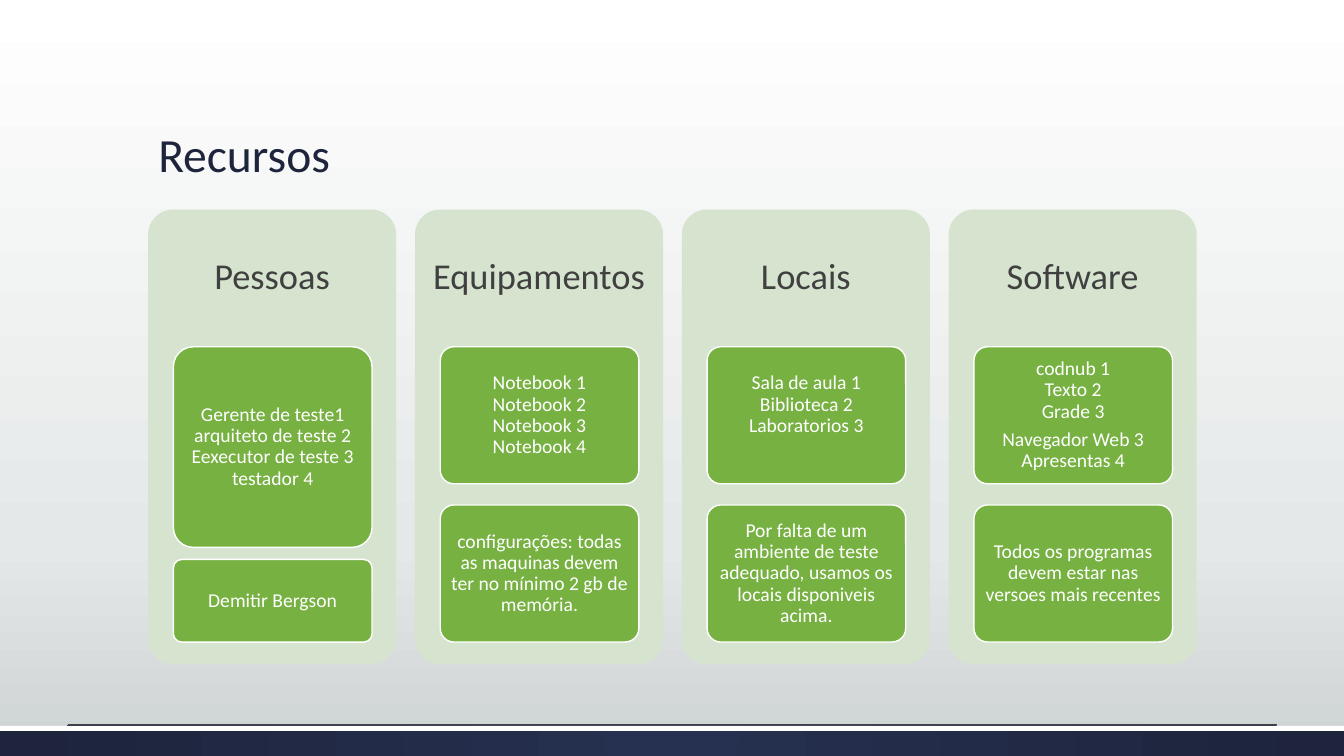
from dataclasses import dataclass

from lxml import etree
from pptx import Presentation
from pptx.dml.color import RGBColor
from pptx.enum.shapes import MSO_CONNECTOR, MSO_SHAPE
from pptx.enum.text import MSO_ANCHOR, PP_ALIGN
from pptx.oxml.ns import qn
from pptx.util import Inches, Pt

RECTANGLE, ROUNDED = MSO_SHAPE.RECTANGLE, MSO_SHAPE.ROUNDED_RECTANGLE
STRAIGHT = MSO_CONNECTOR.STRAIGHT
MIDDLE, BOTTOM = MSO_ANCHOR.MIDDLE, MSO_ANCHOR.BOTTOM
LEFT, CENTER = PP_ALIGN.LEFT, PP_ALIGN.CENTER


@dataclass(frozen=True)
class Theme:
    """Font, type sizes and colours of the slide."""
    font: str = "Calibri"
    title_size: int = 34
    heading_size: int = 26
    card_size: int = 14
    navy: str = "1D243C"
    heading: str = "404040"
    white: str = "FFFFFF"
    panel: str = "D6E4CF"
    card: str = "77B142"
    background: tuple = ((0, "FFFFFF"), (72, "E5E8E8"), (100, "CDD2D2"))
    footer: tuple = ((0, "263050"), (100, "1D243C"))


THEME = Theme()
SLIDE_WIDTH, SLIDE_HEIGHT = 13.33, 7.5
CONTENT_LEFT, CONTENT_WIDTH = 1.47, 10.4
PANEL_TOP, PANEL_WIDTH, PANEL_HEIGHT = 2.08, 2.46, 4.51
HEADING_HEIGHT = 1.35
CARD_INDENT, CARD_WIDTH = 0.25, 1.97
CARDS_TOP, CARDS_BOTTOM = 3.44, 6.37
CARD_INSETS = (0.04, 0.03, 0.04, 0.03)
RAISED_INSETS = (0.04, 0.03, 0.04, 0.24)
EVEN_HEIGHTS = (1.36, 1.36)

COLUMNS = [
    ("Pessoas", (1.99, 0.82), [
        (["Gerente de teste1\narquiteto de teste 2\nEexecutor de teste 3\ntestador 4"], CARD_INSETS),
        (["Demitir Bergson"], CARD_INSETS),
    ]),
    ("Equipamentos", EVEN_HEIGHTS, [
        (["Notebook 1\nNotebook 2\nNotebook 3\nNotebook 4"], CARD_INSETS),
        (["configurações: todas as maquinas devem ter no mínimo 2 gb de memória."], CARD_INSETS),
    ]),
    ("Locais", EVEN_HEIGHTS, [
        (["Sala de aula 1\nBiblioteca 2\nLaboratorios 3"], RAISED_INSETS),
        (["Por falta de um ambiente de teste adequado, usamos os locais disponiveis acima."], CARD_INSETS),
    ]),
    ("Software", EVEN_HEIGHTS, [
        (["codnub 1\nTexto 2\nGrade 3", "Navegador Web 3\nApresentas 4"], CARD_INSETS),
        (["Todos os programas devem estar nas versoes mais recentes"], CARD_INSETS),
    ]),
]


def rgb(color):
    """Turn a hex string into a colour."""
    return RGBColor.from_string(color)


def set_gradient(fill, owner, stops, circular=False):
    """Fill with a vertical or a circular gradient."""
    fill.gradient()
    gradient = next(owner.iter(qn("a:gradFill")))
    for child in list(gradient):
        gradient.remove(child)
    stop_list = etree.SubElement(gradient, qn("a:gsLst"))
    for position, color in stops:
        stop = etree.SubElement(stop_list, qn("a:gs"), pos=str(position * 1000))
        etree.SubElement(stop, qn("a:srgbClr"), val=color)
    if circular:
        center = etree.SubElement(gradient, qn("a:path"))
        center.set("path", "circle")
        sides = dict.fromkeys("ltrb", "50000")
        etree.SubElement(center, qn("a:fillToRect"), **sides)
    else:
        etree.SubElement(gradient, qn("a:lin"), ang="5400000", scaled="0")


def place(shape, left, top, width, height):
    """Move and size a shape in inches."""
    shape.left, shape.top = Inches(left), Inches(top)
    shape.width, shape.height = Inches(width), Inches(height)


def write(shape, paragraphs, size, color, insets, align=CENTER, anchor=MIDDLE):
    """Write formatted paragraphs into a shape."""
    frame = shape.text_frame
    frame.word_wrap = True
    frame.vertical_anchor = anchor
    frame.margin_left, frame.margin_top, frame.margin_right, frame.margin_bottom = map(Inches, insets)
    for index, text in enumerate(paragraphs):
        paragraph = frame.add_paragraph() if index else frame.paragraphs[0]
        paragraph.text = text
        paragraph.alignment = align
        paragraph.line_spacing = 0.9
        paragraph.space_after = Pt(round(size * 0.35))
        paragraph.font.name = THEME.font
        paragraph.font.size = Pt(size)
        paragraph.font.color.rgb = rgb(color)


def add_box(slide, kind, bounds, color, outline=None):
    """Add a filled shape, outlined if a colour is given."""
    shape = slide.shapes.add_shape(kind, *map(Inches, bounds))
    shape.shadow.inherit = False
    shape.fill.solid()
    shape.fill.fore_color.rgb = rgb(color)
    if outline:
        shape.line.color.rgb = rgb(outline)
        shape.line.width = Pt(1)
    else:
        shape.line.fill.background()
    if kind == ROUNDED:
        shape.adjustments[0] = 0.1
    return shape


def add_footer(slide):
    """Add the navy band with its white edge and thin rule."""
    band = add_box(slide, RECTANGLE, (0, 7.2, SLIDE_WIDTH, 0.3), THEME.navy)
    set_gradient(band.fill, band.element, THEME.footer, circular=True)
    add_box(slide, RECTANGLE, (0, 7.2, SLIDE_WIDTH, 0.05), THEME.white)
    rule = slide.shapes.add_connector(STRAIGHT, Inches(0.67), Inches(7.19), Inches(12.67), Inches(7.19))
    rule.line.color.rgb = rgb(THEME.heading)
    rule.line.width = Pt(0.75)
    etree.SubElement(rule.element.spPr, qn("a:effectLst"))


def add_title(slide, text):
    """Place and fill the title placeholder."""
    title = slide.shapes.title
    place(title, CONTENT_LEFT, 0.51, CONTENT_WIDTH, 1.35)
    write(title, [text], THEME.title_size, THEME.navy, (0.1, 0.05, 0.1, 0.05), LEFT, BOTTOM)


def add_column(slide, left, heading, heights, cards):
    """Add a panel with its heading and stacked cards."""
    add_box(slide, ROUNDED, (left, PANEL_TOP, PANEL_WIDTH, PANEL_HEIGHT), THEME.panel)
    label = slide.shapes.add_textbox(*map(Inches, (left, PANEL_TOP, PANEL_WIDTH, HEADING_HEIGHT)))
    write(label, [heading], THEME.heading_size, THEME.heading, (0.11,) * 4)
    gap = CARDS_BOTTOM - CARDS_TOP - sum(heights)
    top = CARDS_TOP
    for height, (paragraphs, insets) in zip(heights, cards):
        bounds = (left + CARD_INDENT, top, CARD_WIDTH, height)
        card = add_box(slide, ROUNDED, bounds, THEME.card, THEME.white)
        write(card, paragraphs, THEME.card_size, THEME.white, insets)
        top += height + gap


def main():
    """Build and save the resources slide."""
    presentation = Presentation()
    presentation.slide_width = Inches(SLIDE_WIDTH)
    presentation.slide_height = Inches(SLIDE_HEIGHT)
    slide = presentation.slides.add_slide(presentation.slide_layouts[5])
    set_gradient(slide.background.fill, slide.element, THEME.background)
    add_footer(slide)
    add_title(slide, "Recursos")
    pitch = (CONTENT_WIDTH - PANEL_WIDTH) / (len(COLUMNS) - 1)
    for index, column in enumerate(COLUMNS):
        add_column(slide, CONTENT_LEFT + index * pitch, *column)
    presentation.save("out.pptx")


if __name__ == "__main__":
    main()
